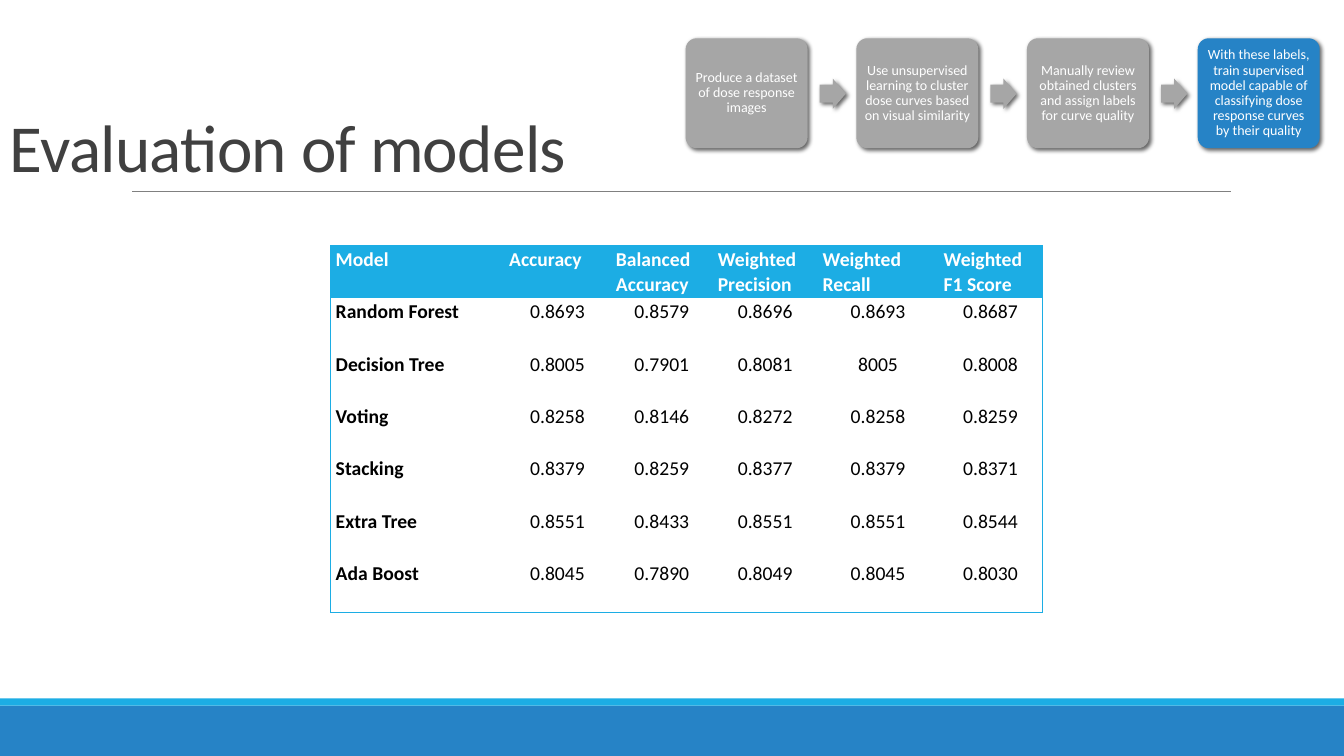
from lxml import etree
from pptx import Presentation
from pptx.dml.color import RGBColor
from pptx.enum.shapes import MSO_CONNECTOR, MSO_SHAPE
from pptx.enum.text import MSO_ANCHOR, PP_ALIGN
from pptx.oxml import parse_xml
from pptx.oxml.ns import nsdecls, qn
from pptx.util import Inches, Pt

RECT, ROUND, ARROW = MSO_SHAPE.RECTANGLE, MSO_SHAPE.ROUNDED_RECTANGLE, MSO_SHAPE.RIGHT_ARROW
LEFT, CENTER = PP_ALIGN.LEFT, PP_ALIGN.CENTER
TOP, MIDDLE, BOTTOM = MSO_ANCHOR.TOP, MSO_ANCHOR.MIDDLE, MSO_ANCHOR.BOTTOM
BLUE, CYAN, GRAY, WHITE = "2683C6", "1CADE4", "A6A6A6", "FFFFFF"


def rgb(code):
    return RGBColor.from_string(code)


def write(frame, text, size=14, color="000000", bold=False, align=LEFT, lead=1.0, track=0):
    para = frame.paragraphs[0]
    para.alignment = align
    para.line_spacing = lead
    run = para.add_run()
    run.text = text
    run.font.name = "Calibri"
    run.font.size = Pt(size)
    run.font.bold = bold
    run.font.color.rgb = rgb(color)
    if track:
        run.font._element.set("spc", str(track))


deck = Presentation()
deck.slide_width, deck.slide_height = Inches(13.33), Inches(7.5)
slide = deck.slides.add_slide(deck.slide_layouts[6])
shapes = slide.shapes

for top, high, color in [(7, 0.5, BLUE), (6.93, 0.07, CYAN)]:
    band = shapes.add_shape(RECT, 0, Inches(top), Inches(13.33), Inches(high))
    band.shadow.inherit = False
    band.fill.solid()
    band.fill.fore_color.rgb = rgb(color)
    band.line.fill.background()

rule = shapes.add_connector(MSO_CONNECTOR.STRAIGHT, Inches(1.31), Inches(1.9), Inches(12.21), Inches(1.9))
rule.line.color.rgb = rgb("808080")
rule.line.width = Pt(0.5)
etree.SubElement(rule._element.spPr, qn("a:effectLst"))

title = shapes.add_textbox(0, Inches(0.31), Inches(12.2), Inches(1.59)).text_frame
title.word_wrap = True
title.vertical_anchor = BOTTOM
write(title, "Evaluation of models", size=48, color="404040", lead=0.85, track=-50)

heads = ["Model", "Accuracy", "Balanced Accuracy", "Weighted Precision", "Weighted Recall", "Weighted F1 Score"]
scores = [
    ["Random Forest", "0.8693", "0.8579", "0.8696", "0.8693", "0.8687"],
    ["Decision Tree", "0.8005", "0.7901", "0.8081", "8005", "0.8008"],
    ["Voting", "0.8258", "0.8146", "0.8272", "0.8258", "0.8259"],
    ["Stacking", "0.8379", "0.8259", "0.8377", "0.8379", "0.8371"],
    ["Extra Tree", "0.8551", "0.8433", "0.8551", "0.8551", "0.8544"],
    ["Ada Boost", "0.8045", "0.7890", "0.8049", "0.8045", "0.8030"],
]
rows = [heads] + scores
widths = [1.72, 1.06, 1.01, 1.04, 1.2, 1.03]
table = shapes.add_table(len(rows), len(heads), Inches(3.28), Inches(2.44), Inches(7.05), Inches(3.64)).table
table.first_row = table.horz_banding = False
table._tbl.tblPr.find(qn("a:tableStyleId")).text = "{2D5ABB26-0587-4C30-8999-92F81FD0307C}"
for col, wide in zip(table.columns, widths):
    col.width = Inches(wide)

for r, row in enumerate(rows):
    table.rows[r].height = Inches(0.52)
    for c, text in enumerate(row):
        cell = table.cell(r, c)
        cell.margin_left = cell.margin_right = Inches(0.05)
        cell.margin_top = cell.margin_bottom = 0
        cell.vertical_anchor = TOP
        head = r == 0
        write(cell.text_frame, text, color=WHITE if head else "000000", bold=head or c == 0,
              align=CENTER if r and c else LEFT, lead=1.07)
        edges = {"lnL": c == 0, "lnR": c == len(heads) - 1, "lnT": head, "lnB": r == len(scores)}
        for edge, shown in edges.items():
            if shown:
                cell._tc.get_or_add_tcPr().append(parse_xml(
                    f'<a:{edge} {nsdecls("a")} w="12700"><a:solidFill>'
                    f'<a:srgbClr val="{CYAN}"/></a:solidFill></a:{edge}>'))
        if head:
            cell.fill.solid()
            cell.fill.fore_color.rgb = rgb(CYAN)
        else:
            cell.fill.background()

steps = [
    "Produce a dataset of dose response images",
    "Use unsupervised learning to cluster dose curves based on visual similarity",
    "Manually review obtained clusters and assign labels for curve quality",
    "With these labels, train supervised model capable of classifying dose response curves by their quality",
]
parts = []
for i, text in enumerate(steps):
    left = 6.8 + i * 1.693
    last = i == len(steps) - 1
    parts.append((ROUND, left, 0.38, 1.21, 1.09, BLUE if last else GRAY, [0.1], text))
    if not last:
        parts.append((ARROW, left + 1.33, 0.78, 0.26, 0.3, GRAY, [0.6, 0.5], ""))

for kind, left, top, wide, high, color, adjust, text in parts:
    part = shapes.add_shape(kind, Inches(left), Inches(top), Inches(wide), Inches(high))
    for n, value in enumerate(adjust):
        part.adjustments[n] = value
    part.fill.solid()
    part.fill.fore_color.rgb = rgb(color)
    part.line.fill.background()
    part.shadow.inherit = False
    part._element.spPr.find(qn("a:effectLst")).append(parse_xml(
        f'<a:outerShdw {nsdecls("a")} blurRad="38100" dist="25400" dir="2700000" algn="br" rotWithShape="0">'
        '<a:srgbClr val="000000"><a:alpha val="60000"/></a:srgbClr></a:outerShdw>'))
    if text:
        frame = part.text_frame
        frame.word_wrap = True
        frame.vertical_anchor = MIDDLE
        frame.margin_left = frame.margin_right = frame.margin_top = frame.margin_bottom = Inches(0.04)
        write(frame, text, size=10, color=WHITE, align=CENTER, lead=0.9)

deck.save("out.pptx")
